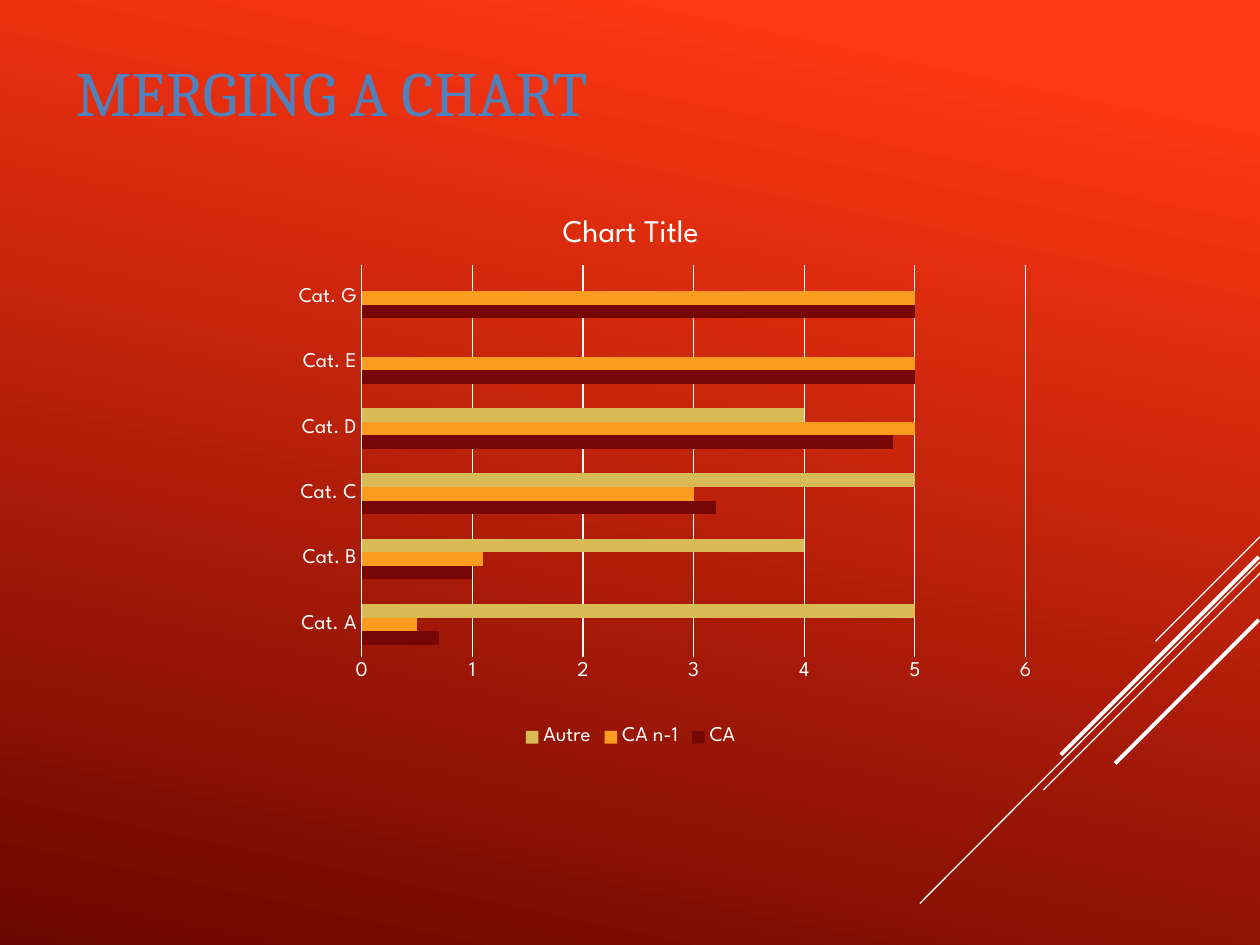
from lxml import etree
from pptx import Presentation
from pptx.chart.data import CategoryChartData
from pptx.dml.color import RGBColor
from pptx.enum.chart import XL_CHART_TYPE, XL_LEGEND_POSITION, XL_TICK_MARK
from pptx.enum.shapes import MSO_CONNECTOR
from pptx.enum.text import MSO_ANCHOR, PP_ALIGN
from pptx.oxml.ns import qn
from pptx.util import Inches, Pt

BAR_CLUSTERED = XL_CHART_TYPE.BAR_CLUSTERED
LEGEND_BOTTOM = XL_LEGEND_POSITION.BOTTOM
NO_TICK = XL_TICK_MARK.NONE
STRAIGHT = MSO_CONNECTOR.STRAIGHT
MIDDLE = MSO_ANCHOR.MIDDLE
LEFT = PP_ALIGN.LEFT

COLORS = {
    "white": "FFFFFF",
    "bright_red": "FF3712",
    "deep_red": "6A0600",
    "title": "4F81BD",
    "CA": "760603",
    "CA n-1": "FA9C1F",
    "Autre": "D9BB55",
}

CATEGORIES = ["Cat. A", "Cat. B", "Cat. C", "Cat. D", "Cat. E", "Cat. G"]
SALES = {
    "CA": (0.7, 1, 3.2, 4.8, 5, 5),
    "CA n-1": (0.5, 1.1, 3, 5, 5, 5),
    "Autre": (5, 4, 5, 4, None, None),
}
# Share of the chart frame taken by the inner plot area
PLOT_AREA = {"x": 0.18, "y": 0.13, "w": 0.79, "h": 0.7}

# Right end, left end and weight of each diagonal stripe
STRIPES = [
    ((10, 4.26), (9.17, 5.09), 0.75),
    ((10, 4.46), (7.3, 7.17), 0.75),
    ((10, 4.55), (8.28, 6.27), 0.75),
    ((9.99, 4.42), (8.42, 5.99), 2.25),
    ((9.99, 4.92), (8.85, 6.06), 2.25),
]


class SlideBuilder:
    title_font = "Cambria"
    chart_font = "League Spartan"

    def __init__(self, slide):
        self.slide = slide

    def color(self, name):
        return RGBColor.from_string(COLORS[name])

    def style_font(self, font, size, name, color):
        font.size = Pt(size)
        font.name = name
        font.bold = False
        font.color.rgb = self.color(color)

    def style_line(self, line, weight):
        line.color.rgb = self.color("white")
        line.width = Pt(weight)

    def background(self, start, end, angle):
        fill = self.slide.background.fill
        fill.gradient()
        fill.gradient_angle = angle
        for stop, (position, name) in zip(fill.gradient_stops, (start, end)):
            stop.position = position
            stop.color.rgb = self.color(name)

    def stripe(self, start, end, weight):
        ends = [Inches(value) for value in (*start, *end)]
        stripe = self.slide.shapes.add_connector(STRAIGHT, *ends)
        self.style_line(stripe.line, weight)
        properties = stripe._element.find(qn("p:spPr"))
        etree.SubElement(properties, qn("a:effectLst"))

    def title(self, text, left, top, width, height):
        title = self.slide.shapes.title
        title.left, title.top = Inches(left), Inches(top)
        title.width, title.height = Inches(width), Inches(height)
        frame = title.text_frame
        frame.text = text
        frame.word_wrap = True
        frame.vertical_anchor = MIDDLE
        paragraph = frame.paragraphs[0]
        paragraph.alignment = LEFT
        self.style_font(paragraph.font, 36, self.title_font, "title")

    def bar_chart(self, heading, categories, series, left, top, width, height):
        data = CategoryChartData()
        data.categories = categories
        for name, values in series.items():
            data.add_series(name, values)
        box = [Inches(value) for value in (left, top, width, height)]
        chart = self.slide.shapes.add_chart(BAR_CLUSTERED, *box, data).chart
        self.style_font(chart.font, 10, self.chart_font, "white")

        # Heading and legend
        chart.has_title = True
        chart.chart_title.include_in_layout = False
        heading_frame = chart.chart_title.text_frame
        heading_frame.text = heading
        self.style_font(heading_frame.paragraphs[0].font, 18,
                        self.chart_font, "white")
        chart.has_legend = True
        chart.legend.position = LEGEND_BOTTOM
        chart.legend.include_in_layout = False
        self.style_font(chart.legend.font, 12, self.chart_font, "white")

        # Axes
        for axis in (chart.category_axis, chart.value_axis):
            axis.major_tick_mark = axis.minor_tick_mark = NO_TICK
            self.style_font(axis.tick_labels.font, 12, self.chart_font, "white")
        self.style_line(chart.category_axis.format.line, 0.75)
        scale = chart.value_axis
        scale.minimum_scale, scale.maximum_scale, scale.major_unit = 0, 6, 1
        scale.format.line.fill.background()
        scale.has_major_gridlines = True
        self.style_line(scale.major_gridlines.format.line, 0.75)

        # Bars
        plot = chart.plots[0]
        plot.gap_width = 182
        plot.overlap = 0
        plot.vary_by_categories = False
        for bars in plot.series:
            bars.invert_if_negative = False
            bars.format.fill.solid()
            bars.format.fill.fore_color.rgb = self.color(bars.name)
        self.place_plot(chart)

    def place_plot(self, chart):
        plot_area = chart._chartSpace.find(".//" + qn("c:plotArea"))
        for old_layout in plot_area.findall(qn("c:layout")):
            plot_area.remove(old_layout)
        layout = etree.Element(qn("c:layout"))
        manual = etree.SubElement(layout, qn("c:manualLayout"))
        settings = {"layoutTarget": "inner", "xMode": "edge", "yMode": "edge",
                    **PLOT_AREA}
        for tag, value in settings.items():
            etree.SubElement(manual, qn("c:" + tag), val=str(value))
        plot_area.insert(0, layout)


def main():
    deck = Presentation()
    deck.slide_width, deck.slide_height = Inches(10), Inches(7.5)
    title_only = deck.slide_layouts[5]
    builder = SlideBuilder(deck.slides.add_slide(title_only))

    # Backdrop; the angle runs counter-clockwise
    builder.background((0.1, "bright_red"), (1, "deep_red"), 360 - 102)
    for start, end, weight in STRIPES:
        builder.stripe(start, end, weight)

    # Content
    builder.title("MERGING A CHART", 0.5, 0.3, 4.58, 0.85)
    builder.bar_chart("Chart Title", CATEGORIES, SALES, 1.67, 1.53, 6.67, 4.44)

    deck.save("out.pptx")


if __name__ == "__main__":
    main()
